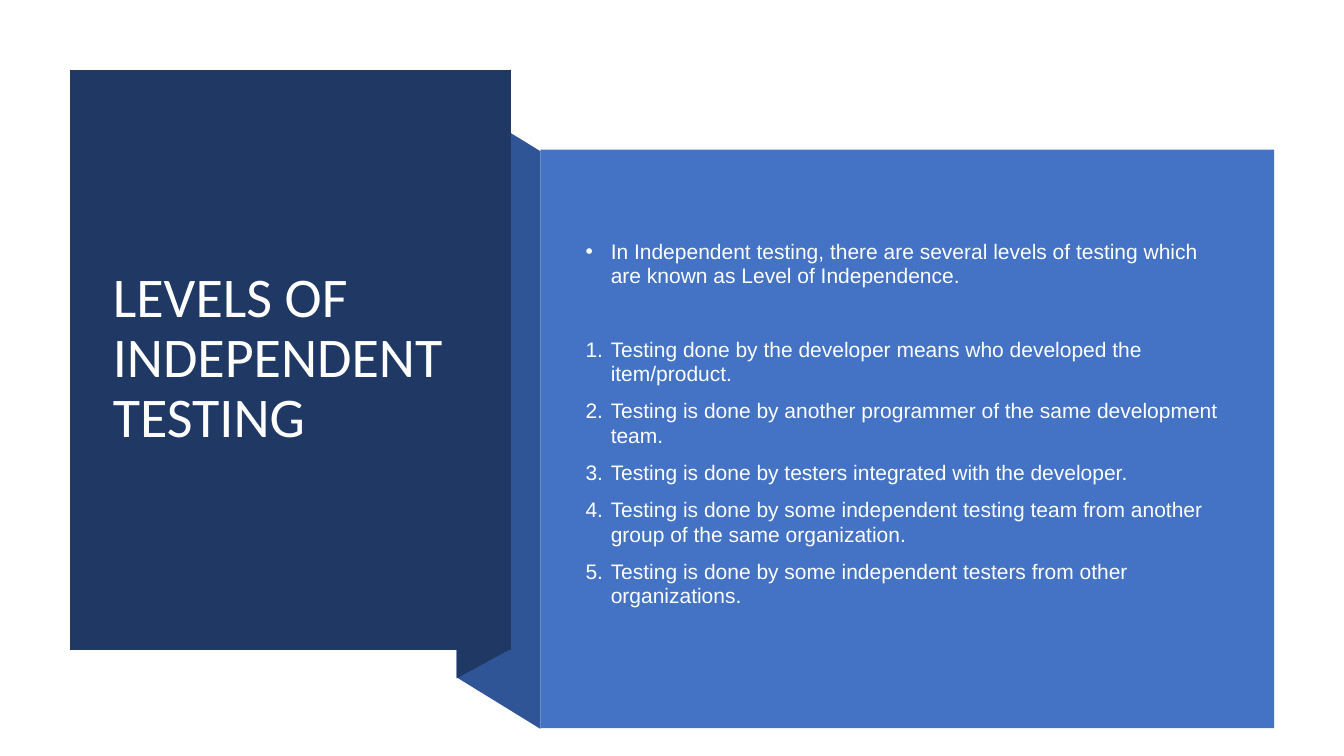
from dataclasses import dataclass

from lxml.etree import SubElement
from pptx import Presentation
from pptx.dml.color import RGBColor
from pptx.enum.shapes import MSO_SHAPE as Preset
from pptx.enum.text import MSO_ANCHOR as Anchor, MSO_AUTO_SIZE as AutoSize, PP_ALIGN as Align
from pptx.oxml.ns import qn
from pptx.util import Inches, Pt

NAVY = RGBColor(0x20, 0x38, 0x64)
MID_BLUE = RGBColor(0x2F, 0x55, 0x97)
BLUE = RGBColor(0x44, 0x72, 0xC4)
WHITE = RGBColor(0xFF, 0xFF, 0xFF)
OFF_WHITE = RGBColor(0xFE, 0xFF, 0xFF)

SLIDE_WIDTH, SLIDE_HEIGHT = Inches(13.33), Inches(7.5)
TITLE = "LEVELS OF INDEPENDENT TESTING"
INTRO = ("In Independent testing, there are several levels of testing "
         "which are known as Level of Independence.")
LEVELS = (
    "Testing done by the developer means who developed the item/product.",
    "Testing is done by another programmer of the same development team.",
    "Testing is done by testers integrated with the developer.",
    "Testing is done by some independent testing team from another group of the same organization.",
    "Testing is done by some independent testers from other organizations.",
)
LEVEL_GAP = 9.4
INTRO_GAP = 35.4


@dataclass(frozen=True)
class Fold:
    """A flat face of the ribbon, with corners in percent of the slide."""
    corners: tuple[tuple[float, float], ...]
    color: RGBColor


@dataclass(frozen=True)
class Area:
    """A rectangle in percent of the slide."""
    left: float
    top: float
    width: float
    height: float

    def box(self) -> tuple[int, int, int, int]:
        """Return left, top, width and height as lengths."""
        return across(self.left), down(self.top), across(self.width), down(self.height)


FOLDS = (
    Fold(((40.2, 96.4), (33.98, 89.6), (33.98, 13.2), (40.2, 20)), MID_BLUE),
    Fold(((37.97, 85.87), (33.98, 89.73), (33.98, 13.07), (37.97, 9.2)), NAVY),
    Fold(((5.2, 9.33), (38, 9.33), (38, 86), (5.2, 86)), NAVY),
)
TITLE_AREA = Area(7.65, 14.27, 27.83, 66.53)
PANEL_AREA = Area(40.2, 19.8, 54.6, 76.53)
LEVELS_AREA = Area(42.83, 31.73, 48.83, 56.54)


def across(percent: float) -> int:
    """Turn a share of the slide width into a length."""
    return round(SLIDE_WIDTH * percent / 100)


def down(percent: float) -> int:
    """Turn a share of the slide height into a length."""
    return round(SLIDE_HEIGHT * percent / 100)


def paint(shape, color: RGBColor) -> None:
    """Give a shape a flat fill with no outline or shadow."""
    shape.fill.solid()
    shape.fill.fore_color.rgb = color
    shape.line.fill.background()
    shape.shadow.inherit = False


def draw_fold(slide, fold: Fold) -> None:
    """Draw one face of the ribbon."""
    first, *others = [(across(x), down(y)) for x, y in fold.corners]
    outline = slide.shapes.build_freeform(*first)
    outline.add_line_segments(others, close=True)
    paint(outline.convert_to_shape(), fold.color)


def write(paragraph, text: str, *, font: str, size: float, color: RGBColor,
          spacing: float, before: float = 0) -> None:
    """Write formatted text into a paragraph."""
    paragraph.alignment = Align.LEFT
    paragraph.line_spacing = spacing
    paragraph.space_before = Pt(before)
    run = paragraph.add_run()
    run.text = text
    run.font.name, run.font.size = font, Pt(size)
    run.font.color.rgb = color


def add_marker(paragraph, tag: str, **attributes: str) -> None:
    """Hang a bullet or an automatic number before a paragraph."""
    properties = paragraph._p.get_or_add_pPr()
    properties.set("marL", str(Inches(0.25)))
    properties.set("indent", str(-Inches(0.25)))
    SubElement(properties, qn("a:buFont"), typeface="Arial")
    SubElement(properties, qn(tag), **attributes)


def place_title(slide) -> None:
    """Move the title onto the front face and format it."""
    title = slide.shapes.title
    title.left, title.top, title.width, title.height = TITLE_AREA.box()
    slide.shapes.element.append(title.element)
    frame = title.text_frame
    frame.word_wrap, frame.auto_size = True, AutoSize.NONE
    frame.vertical_anchor = Anchor.MIDDLE
    write(frame.paragraphs[0], TITLE, font="Calibri", size=40, color=WHITE, spacing=0.9)


def list_levels(slide) -> None:
    """Write the introduction and the numbered levels."""
    frame = slide.shapes.add_textbox(*LEVELS_AREA.box()).text_frame
    frame.word_wrap, frame.vertical_anchor = True, Anchor.TOP
    frame.margin_top = 0
    body = {"font": "Arial", "size": 15, "color": OFF_WHITE, "spacing": 0.96}
    intro = frame.paragraphs[0]
    write(intro, INTRO, **body)
    add_marker(intro, "a:buChar", char="•")
    for index, level in enumerate(LEVELS):
        paragraph = frame.add_paragraph()
        write(paragraph, level, before=LEVEL_GAP if index else INTRO_GAP, **body)
        add_marker(paragraph, "a:buAutoNum", type="arabicPeriod")


def main() -> None:
    """Build and save the slide."""
    deck = Presentation()
    deck.slide_width, deck.slide_height = SLIDE_WIDTH, SLIDE_HEIGHT
    slide = deck.slides.add_slide(deck.slide_layouts.get_by_name("Title Only"))
    for fold in FOLDS:
        draw_fold(slide, fold)
    place_title(slide)
    paint(slide.shapes.add_shape(Preset.RECTANGLE, *PANEL_AREA.box()), BLUE)
    list_levels(slide)
    deck.save("out.pptx")


if __name__ == "__main__":
    main()
